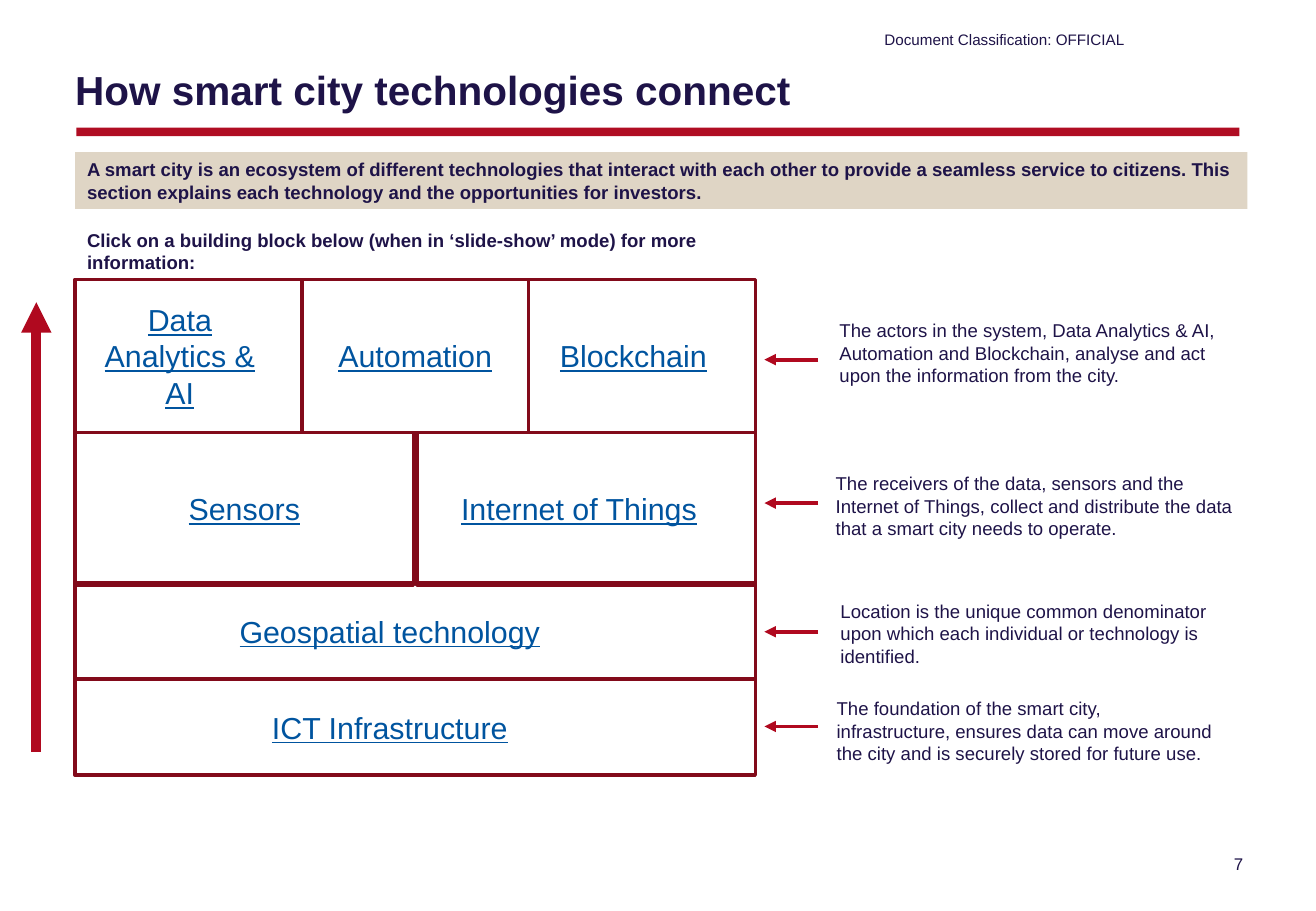
from lxml.etree import SubElement as Sub
from pptx import Presentation
from pptx.dml.color import RGBColor as Rgb
from pptx.enum.shapes import MSO_CONNECTOR as Link, MSO_SHAPE as Kind
from pptx.enum.text import MSO_ANCHOR as Anchor, MSO_AUTO_SIZE as Fit, PP_ALIGN as Align
from pptx.oxml.ns import qn
from pptx.util import Cm, Pt

HUES = {
    "ink": "1E1348",
    "rule": "B00D23",
    "arrow": "B0091F",
    "edge": "820A1A",
    "link": "00549F",
    "sand": "DFD5C5",
}
INSET = (0.25, 0.13, 0.25, 0.13)

# Row fields: top, height, gap, (label, left shift) pairs, arrow drop, note box, note
ROWS = [
    (0, 3.2, 0, [("Data Analytics & AI", 0.18), ("Automation", 0), ("Blockchain", 0.18)],
     1.68, (15.73, 0.71, 8.86),
     "The actors in the system, Data Analytics & AI, Automation and Blockchain, "
     "analyse and act upon the information from the city."),
    (3.2, 3.2, 0.07, [("Sensors", 0), ("Internet of Things", 0.15)],
     1.48, (15.65, 0.71, 8.86),
     "The receivers of the data, sensors and the Internet of Things, collect and "
     "distribute the data that a smart city needs to operate."),
    (6.35, 2.01, 0, [("Geospatial technology", 0.53)],
     1.02, (15.75, 0.23, 8.38),
     "Location is the unique common denominator upon which each individual or "
     "technology is identified."),
    (8.36, 2.01, 0, [("ICT Infrastructure", 0.53)],
     0.99, (15.67, 0.25, 8.51),
     "The foundation of the smart city, infrastructure, ensures data can move around "
     "the city and is securely stored for future use."),
]


def tint(hue):
    """Return the named colour."""
    return Rgb.from_string(HUES[hue])


def write(shape, text, size, hue="ink", bold=False, align=Align.LEFT,
          anchor=Anchor.TOP, inset=INSET, under=None):
    """Fill a shape with one styled paragraph."""
    frame = shape.text_frame
    frame.word_wrap = True
    frame.auto_size = Fit.NONE
    frame.vertical_anchor = anchor
    (frame.margin_left, frame.margin_top,
     frame.margin_right, frame.margin_bottom) = map(Cm, inset)
    frame.text = text
    para = frame.paragraphs[0]
    para.alignment = align
    font = para.font
    font.name, font.size, font.bold, font.underline = "Arial", Pt(size), bold, under
    font.color.rgb = tint(hue)


def label(slide, box, text, size, **style):
    """Add a text box."""
    write(slide.shapes.add_textbox(*map(Cm, box)), text, size, **style)


def panel(slide, box, fill=None, edge=None):
    """Add a plain rectangle with a fill or an outline."""
    shape = slide.shapes.add_shape(Kind.RECTANGLE, *map(Cm, box))
    shape.shadow.inherit = False
    if fill:
        shape.fill.solid()
        shape.fill.fore_color.rgb = tint(fill)
    else:
        shape.fill.background()
    if edge:
        shape.line.color.rgb = tint(edge)
        shape.line.width = Pt(2)
    else:
        shape.line.fill.background()
    return shape


def arrow(slide, start, end, width):
    """Add a straight arrow with its head at the end."""
    line = slide.shapes.add_connector(Link.STRAIGHT, *map(Cm, start + end))
    line.line.color.rgb = tint("arrow")
    line.line.width = Pt(width)
    props = line._element.spPr
    Sub(props.find(qn("a:ln")), qn("a:tailEnd"), type="triangle")
    Sub(props, qn("a:effectLst"))


def header(slide, box):
    """Place the marking, title, rule, banner and prompt."""
    left, top, width = box
    panel(slide, (left + 0.03, top + 2.06, 24.31, 0.18), fill="rule")
    label(slide, (left + 16.92, top, 5.11, 0.41), "Document Classification: OFFICIAL",
          9, anchor=Anchor.MIDDLE, inset=(0, 0, 0, 0))
    title = slide.shapes.title
    title.left, title.top, title.width, title.height = map(
        Cm, (left, top + 0.36, width, 1.8))
    write(title, "How smart city technologies connect", 24, bold=True,
          anchor=Anchor.MIDDLE, inset=(0, 0.13, 0, 0.13))
    banner = panel(slide, (left, top + 2.57, width, 1.19), fill="sand")
    write(banner, "A smart city is an ecosystem of different technologies that interact "
          "with each other to provide a seamless service to citizens. This section "
          "explains each technology and the opportunities for investors.", 11, bold=True)
    label(slide, (left, top + 4.04, 14.22, 1.19),
          "Click on a building block below (when in ‘slide-show’ mode) for more "
          "information:", 11, bold=True)


def wall(slide, box):
    """Stack the rows of blocks, each with its arrow and note."""
    left, top, width = box
    for drop, height, gap, names, mid, (note_x, note_y, note_w), note in ROWS:
        row = top + drop
        step = (width + gap) / len(names)
        for i, (name, shift) in enumerate(names):
            block = panel(slide, (left + i * step, row, step - gap, height), edge="edge")
            write(block, name, 18, hue="link", align=Align.CENTER, anchor=Anchor.MIDDLE,
                  inset=(0.25, 0.13, 0.25 + 2 * shift, 0.13), under=True)
        tip = left + width + 0.19
        arrow(slide, (tip + 1.12, row + mid), (tip, row + mid), 2.25)
        label(slide, (left + note_x, row + note_y, note_w, 1.68), note, 11)
    arrow(slide, (left - 0.81, top + 9.88), (left - 0.81, top + 0.48), 6)


def main():
    """Build and save the slide."""
    deck = Presentation()
    deck.slide_width, deck.slide_height = Cm(27.51), Cm(19.05)
    slide = deck.slides.add_slide(deck.slide_layouts[5])
    header(slide, (1.57, 0.61, 24.51))
    wall(slide, (1.57, 5.84, 14.22))
    label(slide, (24.94, 17.73, 1.3, 0.61), "7", 10, align=Align.RIGHT)
    deck.save("out.pptx")


if __name__ == "__main__":
    main()
